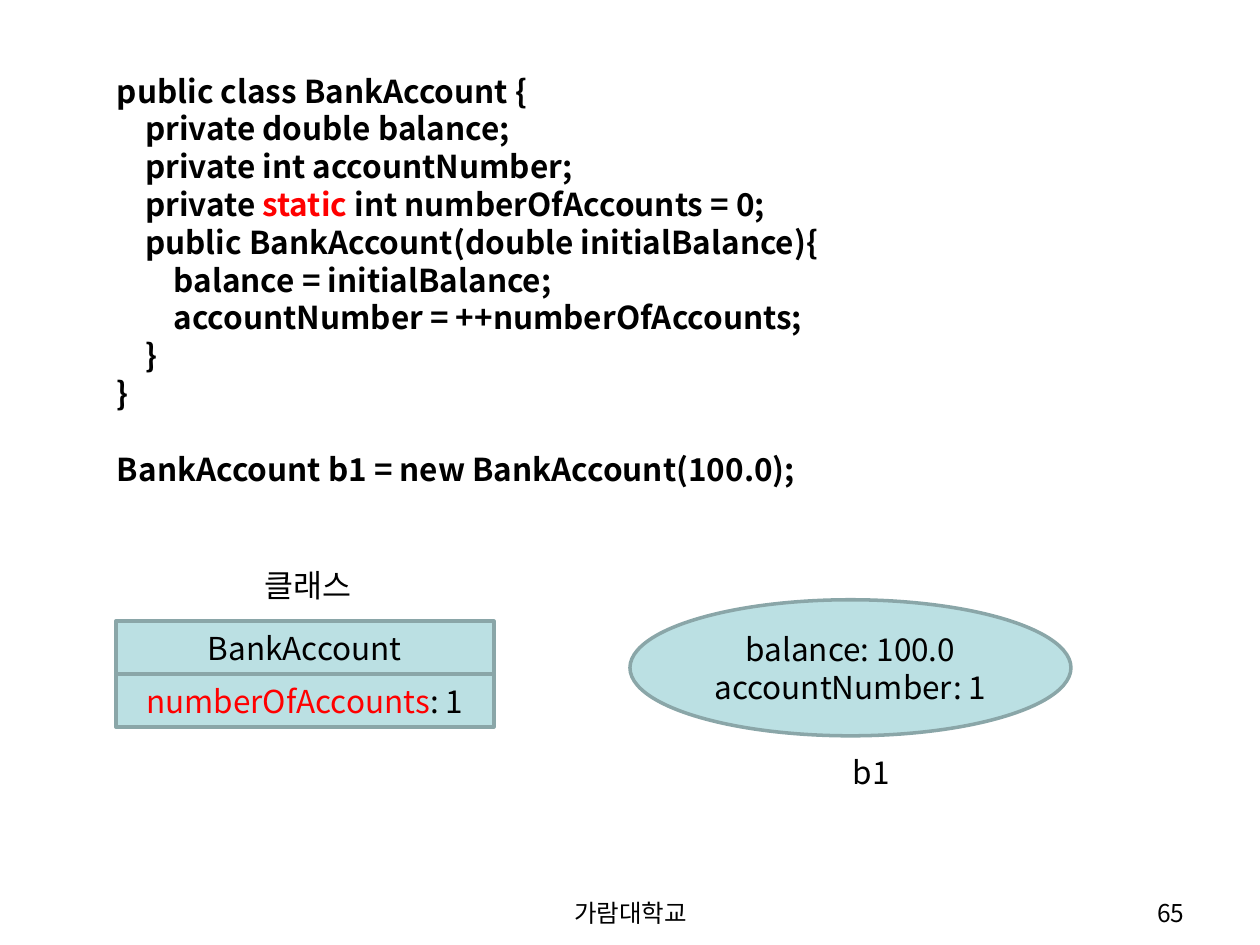
from dataclasses import dataclass

from lxml import etree
from pptx import Presentation
from pptx.dml.color import RGBColor
from pptx.enum.shapes import MSO_SHAPE
from pptx.enum.text import MSO_ANCHOR, PP_ALIGN
from pptx.oxml.ns import qn
from pptx.util import Inches, Pt

RECT, OVAL = MSO_SHAPE.RECTANGLE, MSO_SHAPE.OVAL
LEFT, MID, RIGHT = PP_ALIGN.LEFT, PP_ALIGN.CENTER, PP_ALIGN.RIGHT
TOP, CENTER = MSO_ANCHOR.TOP, MSO_ANCHOR.MIDDLE


@dataclass(frozen=True)
class Theme:
    font: str = "Noto Sans CJK KR"
    ink: str = "000000"
    mark: str = "FF0000"
    fill: str = "BBE0E3"
    edge: str = "8AA6A8"
    body: int = 18
    foot: int = 14
    rule: int = 2
    tab: float = 0.225  # inches per level of code
    gap: float = 21.6  # points, one line of body text


THEME = Theme()

# Each line: level, then runs of (text, colour)
CODE = [
    (0, [("public class BankAccount {", THEME.ink)]),
    (1, [("private double balance;", THEME.ink)]),
    (1, [("private int accountNumber;", THEME.ink)]),
    (1, [("private ", THEME.ink), ("static ", THEME.mark),
         ("int numberOfAccounts = 0;", THEME.ink)]),
    (1, [("public BankAccount(double initialBalance){", THEME.ink)]),
    (2, [("balance = initialBalance;", THEME.ink)]),
    (2, [("accountNumber = ++numberOfAccounts;", THEME.ink)]),
    (1, [("}", THEME.ink)]),
    (0, [("}", THEME.ink)]),
    (0, [("BankAccount b1 = new BankAccount(100.0);", THEME.ink)]),
]


def plain(text):
    return [(0, [(text, THEME.ink)])]


def apply(obj, style):
    for name, value in style.items():
        setattr(obj, name, value)


def write(frame, lines, size=THEME.body, align=LEFT, bold=False, **style):
    """Fill a text frame with levelled lines of coloured runs."""
    apply(frame, {"word_wrap": True, "vertical_anchor": TOP, **style})
    for i, (level, runs) in enumerate(lines):
        para = frame.paragraphs[0] if i == 0 else frame.add_paragraph()
        para.alignment = align
        if level:
            props = para._p.get_or_add_pPr()
            props.set("marL", str(Inches(level * THEME.tab)))
            props.set("indent", "0")
        for text, color in runs:
            run = para.add_run()
            run.text = text
            apply(run.font, {"name": THEME.font, "size": Pt(size), "bold": bold})
            run.font.color.rgb = RGBColor.from_string(color)
            east = etree.SubElement(run.font._element, qn("a:ea"))
            east.set("typeface", THEME.font)


def label(slide, box, lines, **style):
    area = slide.shapes.add_textbox(*map(Inches, box))
    write(area.text_frame, lines, **style)
    return area


def node(slide, kind, box, lines):
    shape = slide.shapes.add_shape(kind, *map(Inches, box))
    shape.shadow.inherit = False
    shape.fill.solid()
    shape.fill.fore_color.rgb = RGBColor.from_string(THEME.fill)
    shape.line.color.rgb = RGBColor.from_string(THEME.edge)
    shape.line.width = Pt(THEME.rule)
    write(shape.text_frame, lines, align=MID, vertical_anchor=CENTER)


def listing(slide, box):
    """Class source, then the call set apart by one line."""
    area = label(slide, box, CODE, bold=True)
    area.text_frame.paragraphs[-1].space_before = Pt(THEME.gap)


def card(slide, box):
    """Caption over equal rows for the class and its static field."""
    x, y, w, h = box
    label(slide, (x + 0.36 * w, y - 0.49, 0.96, 0.4), plain("클래스"),
          word_wrap=False)
    rows = [
        plain("BankAccount"),
        [(0, [("numberOfAccounts", THEME.mark), (": 1", THEME.ink)])],
    ]
    step = h / len(rows)
    for i, lines in enumerate(rows):
        node(slide, RECT, (x, y + i * step, w, step), lines)


def object_view(slide, box):
    """Instance fields with the variable name below."""
    x, y, w, h = box
    node(slide, OVAL, box, plain("balance: 100.0") + plain("accountNumber: 1"))
    label(slide, (x + 1.67, y + h + 0.09, 0.5, 0.4), plain("b1"),
          word_wrap=False)


def footer(slide, box):
    """School name in the middle, page number at the right."""
    x, y, w, h = box
    label(slide, (x + 2.92, y, 3.17, h), plain("가람대학교"),
          size=THEME.foot, align=MID)
    label(slide, (x + w - 2.33, y, 2.33, h), plain("65"),
          size=THEME.foot, align=RIGHT)


def main():
    deck = Presentation()
    apply(deck, {"slide_width": Inches(10), "slide_height": Inches(7.5)})
    slide = deck.slides.add_slide(deck.slide_layouts[6])
    listing(slide, (0.83, 0.52, 8.42, 3.43))
    card(slide, (0.92, 4.93, 3, 0.84))
    object_view(slide, (5, 4.76, 3.5, 1.08))
    footer(slide, (0.5, 7.08, 9, 0.27))
    deck.save("out.pptx")


if __name__ == "__main__":
    main()
